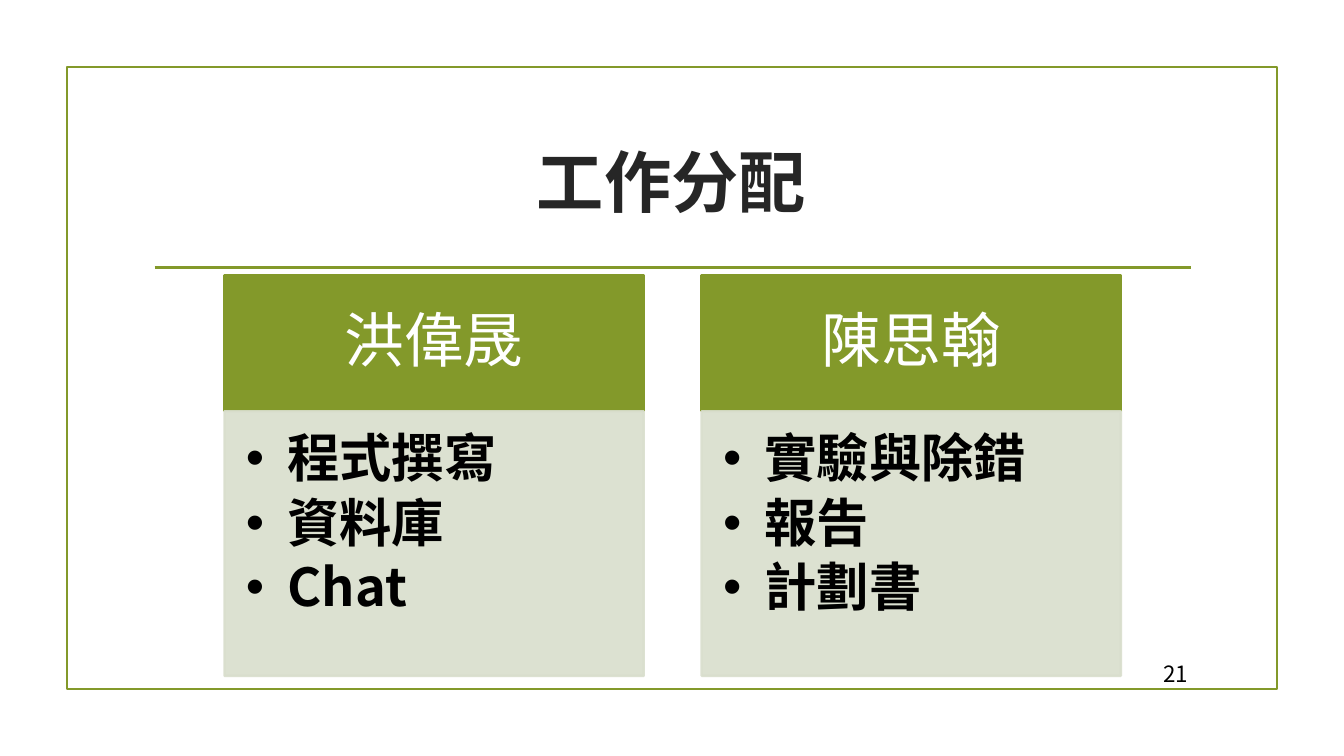
from dataclasses import dataclass

from lxml import etree
from pptx import Presentation
from pptx import util as u
from pptx.dml.color import RGBColor
from pptx.enum import shapes, text
from pptx.oxml import ns


@dataclass(frozen=True)
class Theme:
    """Colours, fonts and type sizes of the slide."""
    green: str = "83992A"
    pale: str = "D9DECD"
    dark: str = "262626"
    black: str = "000000"
    white: str = "FFFFFF"
    latin: str = "Arial"
    cjk: str = "Noto Sans CJK SC"
    title: int = 36
    name: int = 32
    task: int = 28
    number: int = 12
    rule: float = 1.25


THEME = Theme()
MEMBERS = [
    ("洪偉晟", ["程式撰寫", "資料庫", "Chat"]),
    ("陳思翰", ["實驗與除錯", "報告", "計劃書"]),
]


def add_element(parent, tag, **attributes):
    """Append a DrawingML element and return it."""
    return etree.SubElement(parent, ns.qn(tag), attributes)


def style_runs(paragraph, size, colour, font=THEME.cjk, bold=False):
    """Format every run of a paragraph."""
    for run in paragraph.runs:
        run.font.size = u.Pt(size)
        run.font.bold = bold
        run.font.name = font
        run.font.color.rgb = RGBColor.from_string(colour)
        run.font._element.find(ns.qn("a:latin")).addnext(
            etree.Element(ns.qn("a:ea"), typeface=THEME.cjk))


def space_paragraph(paragraph, after_percent):
    """Set tight lines and a proportional space after."""
    paragraph.line_spacing = 0.9
    paragraph.space_after = u.Pt(0)
    after = paragraph._p.pPr.find(ns.qn("a:spcAft"))
    after.remove(after[0])
    add_element(after, "a:spcPct", val=str(after_percent * 1000))


def set_frame(frame, anchor, insets):
    """Set wrapping, anchor and insets of a text frame."""
    frame.word_wrap = True
    frame.vertical_anchor = anchor
    frame.margin_left, frame.margin_top, frame.margin_right, frame.margin_bottom = map(u.Inches, insets)


def add_panel(slide, box, colour, opacity=100):
    """Draw a rectangle whose fill and outline share one colour."""
    panel = slide.shapes.add_shape(shapes.MSO_SHAPE.RECTANGLE, *map(u.Inches, box))
    panel.shadow.inherit = False
    panel.fill.solid()
    panel.line.width = u.Pt(THEME.rule)
    for paint in (panel.fill.fore_color, panel.line.color):
        paint.rgb = RGBColor.from_string(colour)
    if opacity < 100:
        for tint in panel._element.spPr.iter(ns.qn("a:srgbClr")):
            add_element(tint, "a:alpha", val=str(opacity * 1000))
    return panel


def add_label(slide, box, words, alignment, size, colour, **font):
    """Place one line of text, centred vertically in its box."""
    label = slide.shapes.add_textbox(*map(u.Inches, box))
    set_frame(label.text_frame, text.MSO_ANCHOR.MIDDLE, (0.1, 0.05, 0.1, 0.05))
    label.text_frame.text = words
    line = label.text_frame.paragraphs[0]
    line.alignment = alignment
    style_runs(line, size, colour, **font)


def add_frame(slide, box):
    """Draw the border, the rule, the title and the page number."""
    left, top, width, height = box
    border = add_panel(slide, box, THEME.green)
    border.fill.background()
    rule_y = u.Inches(top + 1.49)
    rule = slide.shapes.add_connector(
        shapes.MSO_CONNECTOR.STRAIGHT,
        u.Inches(left + 0.65), rule_y, u.Inches(left + width - 0.64), rule_y)
    rule.line.color.rgb = RGBColor.from_string(THEME.green)
    rule.line.width = u.Pt(THEME.rule)
    add_element(rule._element.spPr, "a:effectLst")
    add_label(slide, (left + 0.56, top + 0.31, 7.87, 1.07), "工作分配",
              text.PP_ALIGN.CENTER, THEME.title, THEME.dark, font=THEME.latin, bold=True)
    add_label(slide, (left + width - 1.01, top + height - 0.23, 0.45, 0.23), "21",
              text.PP_ALIGN.RIGHT, THEME.number, THEME.black)


def add_member(slide, box, name, tasks):
    """Draw one member's name header above the list of tasks."""
    left, top, width, height = box
    header_height = 1.01
    header = add_panel(slide, (left, top, width, header_height), THEME.green).text_frame
    set_frame(header, text.MSO_ANCHOR.MIDDLE, (0.25, 0.14, 0.25, 0.14))
    header.text = name
    heading = header.paragraphs[0]
    heading.alignment = text.PP_ALIGN.CENTER
    space_paragraph(heading, 35)
    style_runs(heading, THEME.name, THEME.white)

    body = add_panel(slide, (left, top + header_height, width, height - header_height),
                     THEME.pale, opacity=90).text_frame
    set_frame(body, text.MSO_ANCHOR.TOP, (0.16, 0.16, 0.22, 0.24))
    body.text = "\n".join(tasks)
    for task in body.paragraphs:
        properties = task._p.get_or_add_pPr()
        properties.set("marL", str(u.Inches(0.31)))
        properties.set("indent", str(u.Inches(-0.31)))
        add_element(properties, "a:buFont", typeface=THEME.latin)
        add_element(properties, "a:buChar", char="•")
        task.level = 1
        task.alignment = text.PP_ALIGN.LEFT
        space_paragraph(task, 15)
        style_runs(task, THEME.task, THEME.black, bold=True)


def add_members(slide, box, gap):
    """Share the box equally among the members."""
    left, top, width, height = box
    column = (width - gap * (len(MEMBERS) - 1)) / len(MEMBERS)
    for index, (name, tasks) in enumerate(MEMBERS):
        add_member(slide, (left + index * (column + gap), top, column, height), name, tasks)


def main():
    """Build and save the slide."""
    deck = Presentation()
    deck.slide_width = u.Inches(10)
    deck.slide_height = u.Inches(10 * 9 / 16)
    slide = deck.slides.add_slide(deck.slide_layouts[6])
    add_frame(slide, (0.5, 0.5, 9, 4.63))
    add_members(slide, (1.67, 2.05, 6.67, 2.98), gap=0.43)
    deck.save("out.pptx")


if __name__ == "__main__":
    main()
